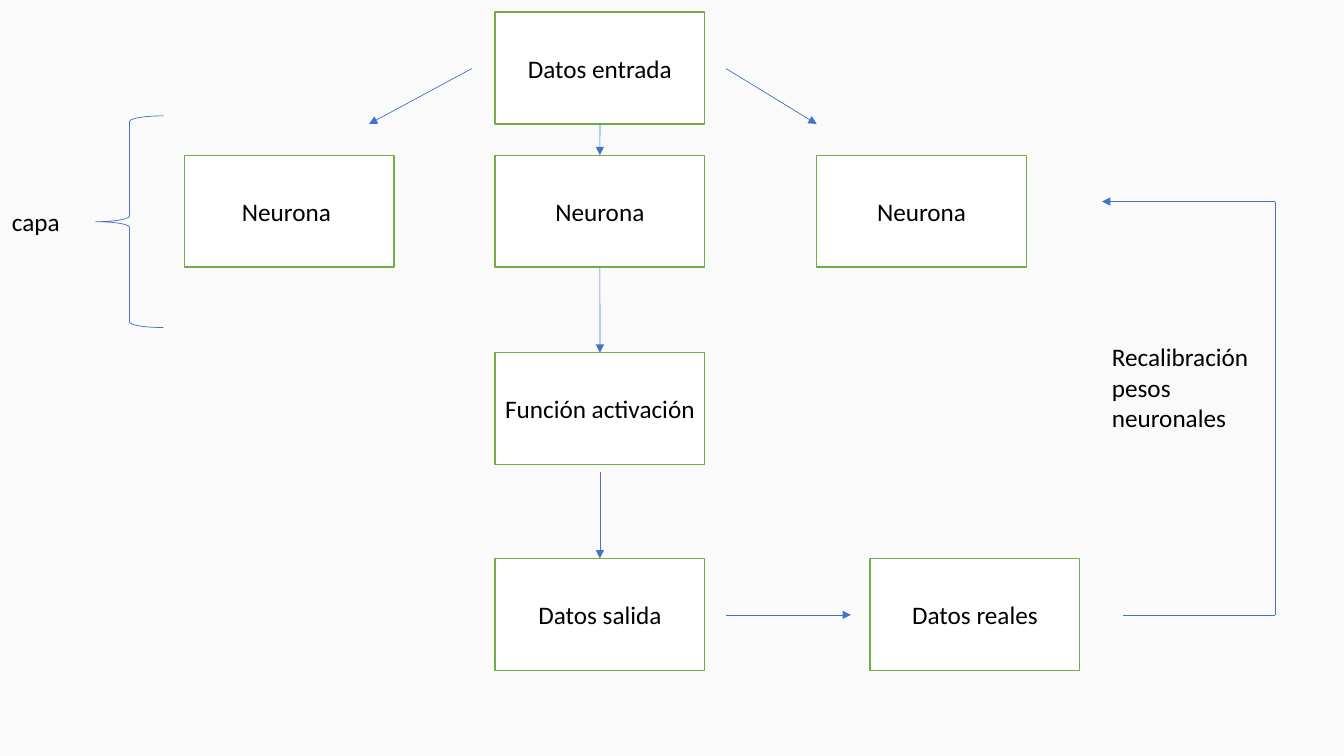
from dataclasses import dataclass

from lxml import etree
from pptx import Presentation
from pptx.dml.color import RGBColor
from pptx.enum.shapes import MSO_CONNECTOR, MSO_SHAPE
from pptx.enum.text import MSO_ANCHOR, PP_ALIGN
from pptx.oxml.ns import qn
from pptx.util import Inches, Pt

RECT = MSO_SHAPE.RECTANGLE
BRACE = MSO_SHAPE.LEFT_BRACE
STRAIGHT = MSO_CONNECTOR.STRAIGHT
MIDDLE = MSO_ANCHOR.MIDDLE
CENTER = PP_ALIGN.CENTER
TOP, BOTTOM = 0, 2
NODE_W, NODE_H = 2.08, 1.11


@dataclass(frozen=True)
class Theme:
    """Colours, font and sizes of the slide."""
    background: RGBColor = RGBColor.from_string("FAFAFA")
    node_fill: RGBColor = RGBColor.from_string("FFFFFF")
    node_line: RGBColor = RGBColor.from_string("70AD47")
    arrow: RGBColor = RGBColor.from_string("4472C4")
    text: RGBColor = RGBColor.from_string("000000")
    font: str = "Calibri"
    size: Pt = Pt(18)
    node_width: Pt = Pt(1)
    arrow_width: Pt = Pt(0.5)


THEME = Theme()


def write(sp, text):
    """Set the text of a shape in the theme font."""
    tf = sp.text_frame
    tf.word_wrap = True
    tf.text = text
    p = tf.paragraphs[0]
    font = p.runs[0].font
    font.name, font.size = THEME.font, THEME.size
    font.color.rgb = THEME.text
    return tf, p


def add_node(slide, x, y, text):
    """Add a bordered box with centred text."""
    sp = slide.shapes.add_shape(RECT, Inches(x), Inches(y), Inches(NODE_W), Inches(NODE_H))
    sp.shadow.inherit = False
    sp.fill.solid()
    sp.fill.fore_color.rgb = THEME.node_fill
    sp.line.color.rgb = THEME.node_line
    sp.line.width = THEME.node_width
    tf, p = write(sp, text)
    tf.vertical_anchor = MIDDLE
    p.alignment = CENTER
    return sp


def add_label(slide, x, y, w, h, text):
    """Add a plain text label."""
    write(slide.shapes.add_textbox(Inches(x), Inches(y), Inches(w), Inches(h)), text)


def add_line(slide, start, end, arrow=True):
    """Add a thin straight line, with an arrowhead at its end if asked."""
    line = slide.shapes.add_connector(STRAIGHT, *map(Inches, (*start, *end)))
    line.line.color.rgb = THEME.arrow
    line.line.width = THEME.arrow_width
    if arrow:
        etree.SubElement(line.line._get_or_add_ln(), qn("a:tailEnd"), type="triangle")
    etree.SubElement(line._element.spPr, qn("a:effectLst"))
    return line


def add_layer(slide, x, y):
    """Draw the labelled layer of neurons and return the middle one."""
    add_label(slide, x, y + 0.85, 0.93, 0.4, "capa")
    sp = slide.shapes.add_shape(BRACE, Inches(x + 0.93), Inches(y), Inches(0.67), Inches(2.1))
    sp.shadow.inherit = False
    sp.fill.background()
    sp.line.color.rgb = THEME.arrow
    sp.line.width = THEME.arrow_width
    neurons = [add_node(slide, x + dx, y + 0.39, text)
               for dx, text in ((1.81, "Neurona "), (4.89, "Neurona"), (8.08, "Neurona"))]
    return neurons[1]


def add_flow(slide, x, y, neuron):
    """Draw the central column and its arrows through the given neuron."""
    mid = x + NODE_W / 2
    source = add_node(slide, x, y, "Datos entrada")
    activation = add_node(slide, x, y + 3.38, "Función activación")
    output = add_node(slide, x, y + 5.42, "Datos salida")
    for upper, lower in ((source, neuron), (neuron, activation)):
        line = add_line(slide, (mid, y), (mid, y + 1))
        line.begin_connect(upper, BOTTOM)
        line.end_connect(lower, TOP)
    line = add_line(slide, (mid, y + 4.56), (mid, y + 5.42))
    line.end_connect(output, TOP)
    add_line(slide, (x - 0.23, y + 0.56), (x - 1.25, y + NODE_H))
    add_line(slide, (x + 2.29, y + 0.56), (x + 3.19, y + NODE_H))


def add_feedback(slide, x, y):
    """Draw the real data and the loop back to the neurons."""
    bottom, right = y + 4.1, x + 5.45
    add_node(slide, x + 1.43, y + 3.54, "Datos reales")
    add_line(slide, (x, bottom), (x + 1.24, bottom))
    loop = [(x + 3.94, bottom), (right, bottom), (right, y), (x + 3.73, y)]
    for i, (start, end) in enumerate(zip(loop, loop[1:])):
        add_line(slide, start, end, arrow=i == len(loop) - 2)
    add_label(slide, x + 3.73, y + 1.34, 1.67, 1.01, "Recalibración pesos neuronales")


def main():
    """Build and save the slide."""
    prs = Presentation()
    prs.slide_width, prs.slide_height = Inches(13.33), Inches(7.5)
    slide = prs.slides.add_slide(prs.slide_layouts[6])
    fill = slide.background.fill
    fill.solid()
    fill.fore_color.rgb = THEME.background
    neuron = add_layer(slide, 0.02, 1.15)
    add_flow(slide, 4.91, 0.12, neuron)
    add_feedback(slide, 7.2, 2)
    prs.save("out.pptx")


if __name__ == "__main__":
    main()
